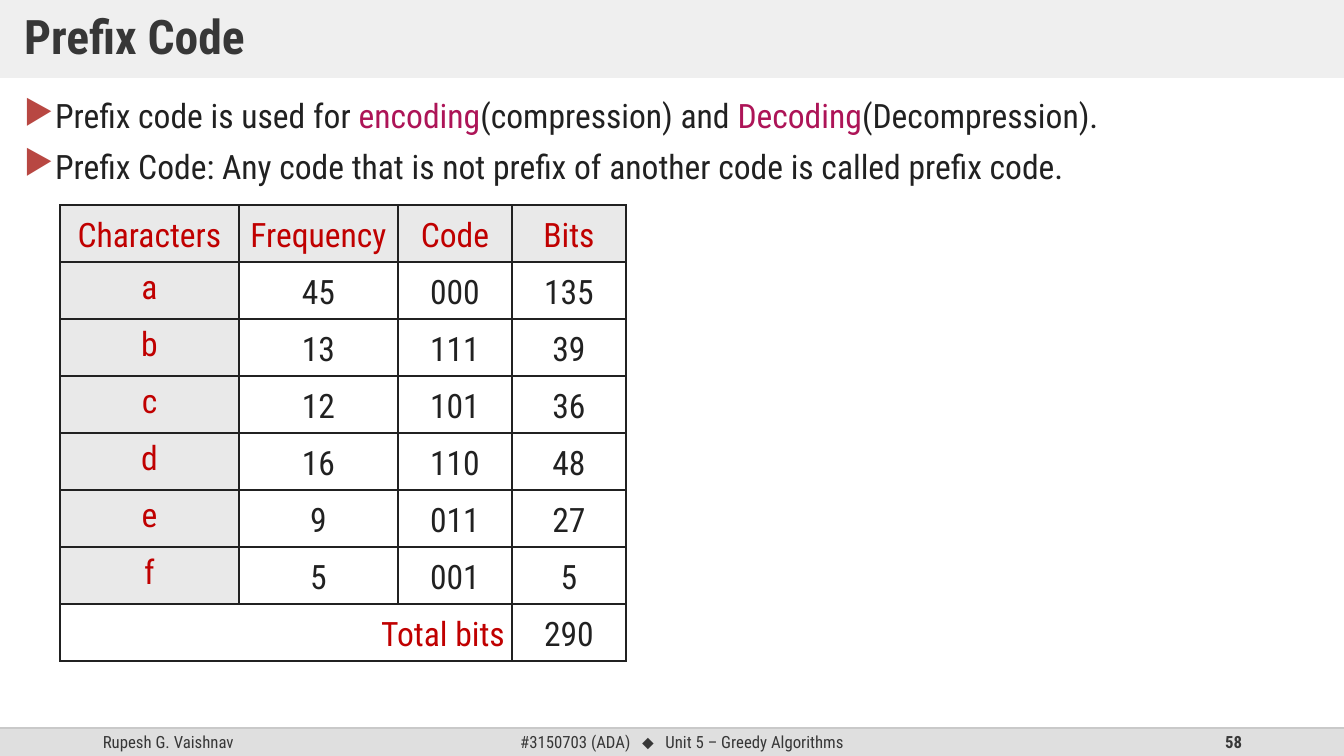
from lxml import etree
from pptx import Presentation
from pptx.dml.color import RGBColor
from pptx.enum.shapes import MSO_CONNECTOR, MSO_SHAPE
from pptx.enum.text import MSO_ANCHOR, MSO_AUTO_SIZE, PP_ALIGN
from pptx.oxml import parse_xml
from pptx.oxml.ns import nsdecls, qn
from pptx.util import Pt

LEFT, CENTER, RIGHT, JUSTIFY = PP_ALIGN.LEFT, PP_ALIGN.CENTER, PP_ALIGN.RIGHT, PP_ALIGN.JUSTIFY
TOP, MIDDLE = MSO_ANCHOR.TOP, MSO_ANCHOR.MIDDLE
FONT = "Roboto Condensed"
COLORS = {
    "heading": "373737", "body": "212121", "accent": "AD1457", "label": "C00000",
    "bullet": "B84742", "title_bar": "EFEFEF", "footer_bar": "DFDFDF",
    "footer_line": "C9C9C9", "shade": "E9E9E9", "white": "FFFFFF",
}
WIDTH, HEIGHT = 1344, 756
FOOTER_TOP, FOOTER_HEIGHT = 728, 28
GAP = {"spacing": 550}

TITLE = "Prefix Code"
BULLETS = [
    [("Prefix code is used for ", {}), ("encoding", {"color": "accent"}),
     ("(compression) and ", {}), ("Decoding", {"color": "accent"}), ("(Decompression).", {})],
    [("Prefix Code: Any code that is not prefix of another code is called prefix code.", {})],
]
CODE_ROWS = [
    ("Characters", "Frequency", "Code", "Bits"),
    ("a", "45", "000", "135"),
    ("b", "13", "111", "39"),
    ("c", "12", "101", "36"),
    ("d", "16", "110", "48"),
    ("e", "9", "011", "27"),
    ("f", "5", "001", "5"),
    ("Total bits", "", "", "290"),
]
COLUMN_WIDTHS = [179, 159, 114, 114]
ROW_HEIGHT = 57
FOOTERS = [
    (93, 302, LEFT, [("Rupesh G. Vaishnav", {})]),
    (446, 472, CENTER, [("#3150703 (ADA)", {}), (" ", GAP), ("⬥", {"font": "Arial"}),
                        (" ", GAP), ("Unit 5 – Greedy Algorithms", {})]),
    (950, 302, RIGHT, [("58", {"bold": True})]),
]


def px(length):
    return round(length * 914400 / 100.8)


def rgb(name):
    return RGBColor.from_string(COLORS[name])


def add_span(para, text, size=24, color="body", bold=False, font=FONT, spacing=None):
    span = para.add_run()
    span.text = text
    span.font.size = Pt(size)
    span.font.bold = bold
    span.font.name = font
    span.font.color.rgb = rgb(color)
    if spacing:
        span.font._element.set("spc", str(spacing))


def add_box(left, top, width, height, anchor):
    box = page.shapes.add_textbox(px(left), px(top), px(width), px(height))
    frame = box.text_frame
    frame.word_wrap = True
    frame.vertical_anchor = anchor
    return frame


def add_bullet(para):
    properties = para._p.get_or_add_pPr()
    properties.set("marL", str(px(29)))
    properties.set("indent", str(-px(29)))
    color = etree.SubElement(properties, qn("a:buClr"))
    etree.SubElement(color, qn("a:srgbClr"), val=COLORS["bullet"])
    etree.SubElement(properties, qn("a:buChar"), char="▶")


def add_borders(cell):
    properties = cell._tc.get_or_add_tcPr()
    for index, side in enumerate(("lnL", "lnR", "lnT", "lnB")):
        properties.insert(index, parse_xml(
            f'<a:{side} {nsdecls("a")} w="12700"><a:solidFill>'
            f'<a:srgbClr val="{COLORS["body"]}"/></a:solidFill></a:{side}>'))


def add_title():
    title = page.shapes.title
    title.left, title.top, title.width, title.height = 0, 0, px(WIDTH), px(78)
    title.fill.solid()
    title.fill.fore_color.rgb = rgb("title_bar")
    frame = title.text_frame
    frame.auto_size = MSO_AUTO_SIZE.NONE
    frame.vertical_anchor = MIDDLE
    frame.margin_left = frame.margin_right = px(24)
    frame.margin_top = frame.margin_bottom = px(12)
    para = frame.paragraphs[0]
    para.alignment = LEFT
    para.line_spacing = 0.9
    add_span(para, TITLE, size=34, color="heading", bold=True)


def add_bullets():
    frame = add_box(14, 95, 1315, 616, TOP)
    for index, spans in enumerate(BULLETS):
        para = frame.add_paragraph() if index else frame.paragraphs[0]
        para.alignment = JUSTIFY
        para.line_spacing = 0.9
        if index:
            para.space_before = Pt(10)
        add_bullet(para)
        for text, style in spans:
            add_span(para, text, **style)


def add_code_table():
    last = len(CODE_ROWS) - 1
    table = page.shapes.add_table(
        len(CODE_ROWS), len(COLUMN_WIDTHS), px(60), px(205),
        px(sum(COLUMN_WIDTHS)), px(ROW_HEIGHT * len(CODE_ROWS))).table
    table.first_row = table.horz_banding = False
    for column, width in zip(table.columns, COLUMN_WIDTHS):
        column.width = px(width)
    for row in table.rows:
        row.height = px(ROW_HEIGHT)
    table.cell(last, 0).merge(table.cell(last, 2))
    for row, texts in enumerate(CODE_ROWS):
        for column, text in enumerate(texts):
            cell = table.cell(row, column)
            is_label = row == 0 or column == 0
            is_character = column == 0 and 0 < row < last
            cell.fill.solid()
            cell.fill.fore_color.rgb = rgb("shade" if is_label and row < last else "white")
            add_borders(cell)
            if cell.is_spanned:
                continue
            cell.vertical_anchor = TOP if is_character else MIDDLE
            cell.margin_left = cell.margin_right = px(7)
            cell.margin_top = cell.margin_bottom = 0
            para = cell.text_frame.paragraphs[0]
            para.alignment = RIGHT if cell.is_merge_origin else CENTER
            para.line_spacing = 1.15
            add_span(para, text, color="label" if is_label else "body")


def add_footer():
    bar = page.shapes.add_shape(
        MSO_SHAPE.RECTANGLE, 0, px(FOOTER_TOP), px(WIDTH), px(FOOTER_HEIGHT))
    bar.shadow.inherit = False
    bar.fill.solid()
    bar.fill.fore_color.rgb = rgb("footer_bar")
    bar.line.fill.background()
    for left, width, alignment, spans in FOOTERS:
        para = add_box(left, FOOTER_TOP, width, FOOTER_HEIGHT, MIDDLE).paragraphs[0]
        para.alignment = alignment
        for text, style in spans:
            add_span(para, text, size=12, color="heading", **style)
    rule = page.shapes.add_connector(
        MSO_CONNECTOR.STRAIGHT, 0, px(FOOTER_TOP), px(WIDTH), px(FOOTER_TOP))
    rule.line.color.rgb = rgb("footer_line")
    rule.line.width = Pt(1)
    etree.SubElement(rule._element.spPr, qn("a:effectLst"))


deck = Presentation()
deck.slide_width, deck.slide_height = px(WIDTH), px(HEIGHT)
page = deck.slides.add_slide(deck.slide_layouts[5])
add_footer()
add_title()
add_bullets()
add_code_table()
deck.save("out.pptx")
